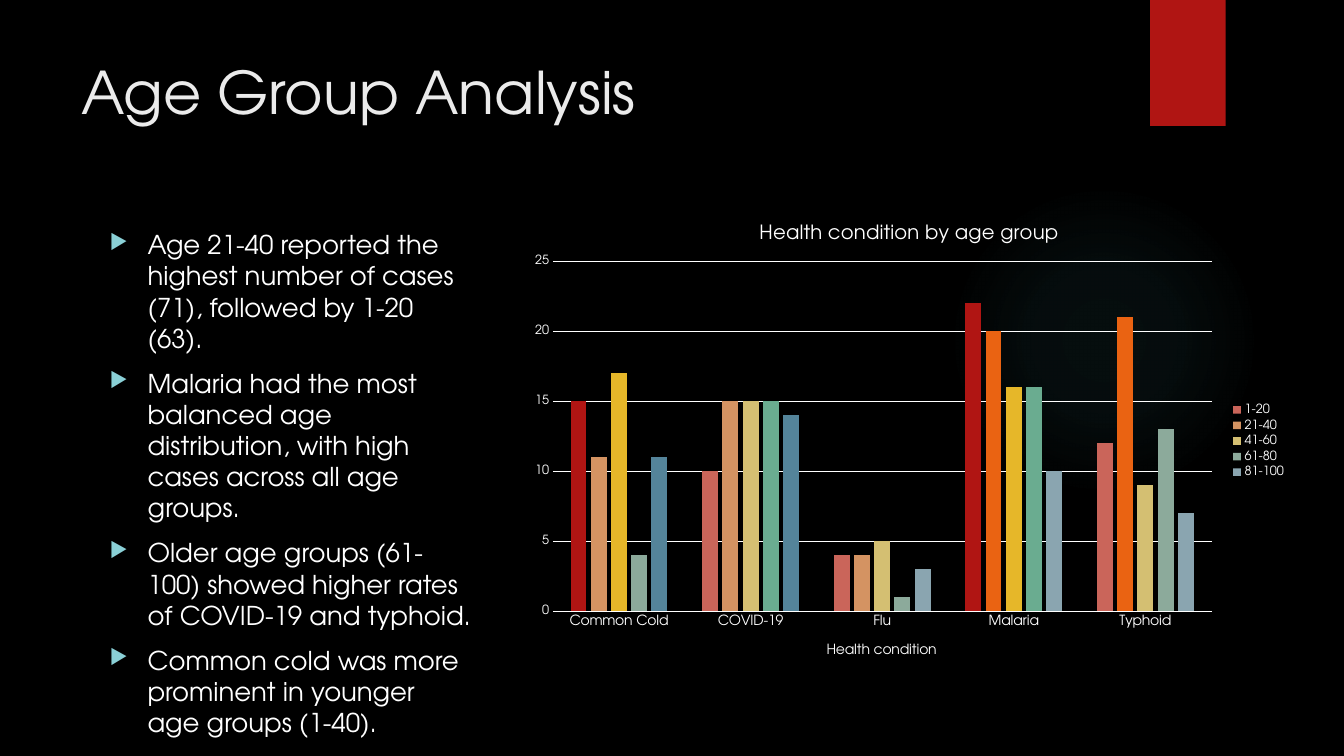
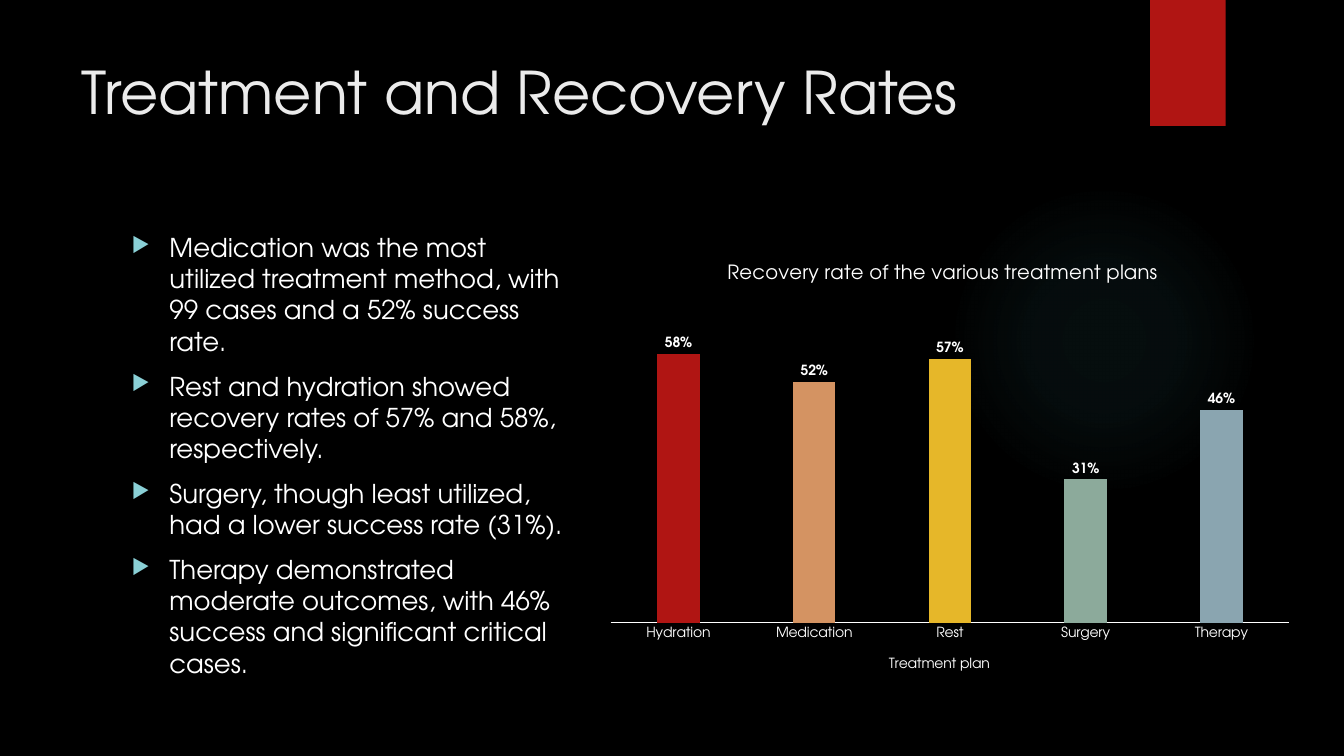
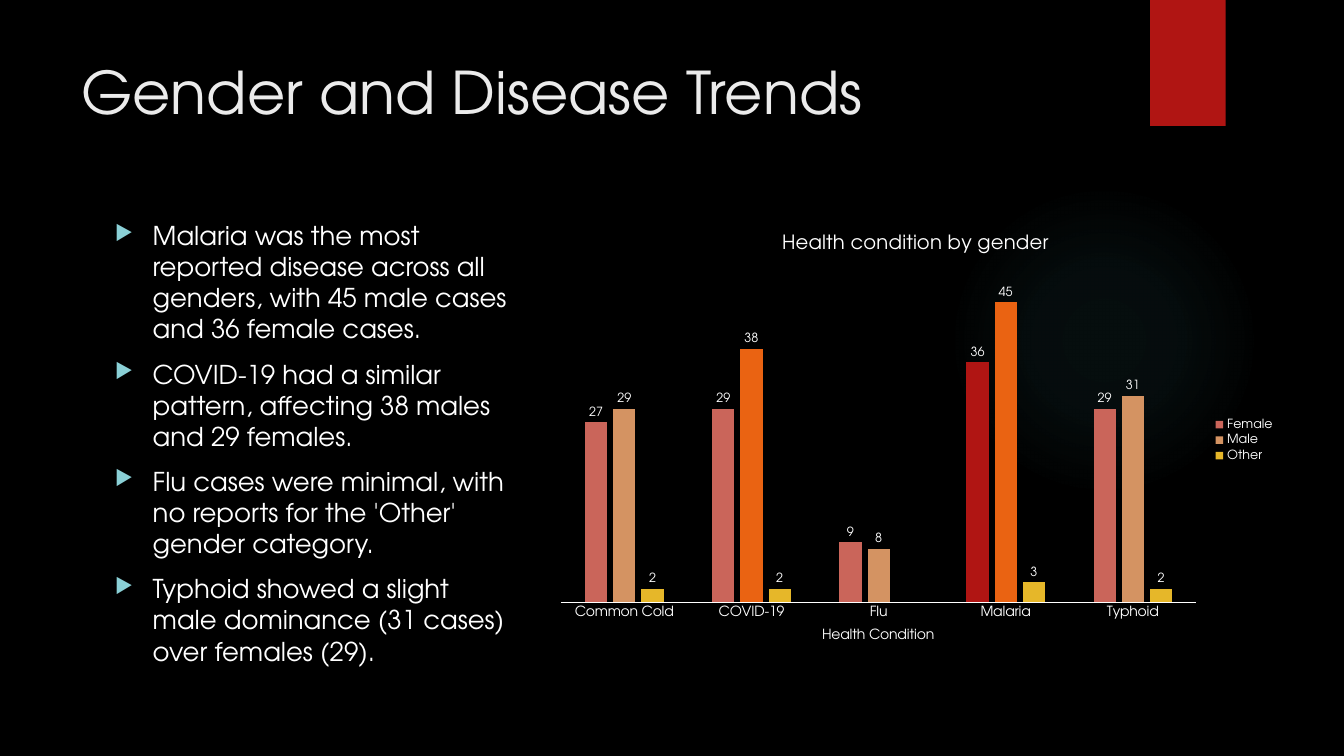
from lxml import etree
from pptx import Presentation
from pptx import util as u
from pptx.chart import data as cd
from pptx.dml import color
from pptx.enum import chart as ch, dml, shapes, text
from pptx.oxml import parse_xml
from pptx.oxml.ns import nsdecls, qn

FONT = "TeX Gyre Adventor"
WHITE, RED, ORANGE, YELLOW, GREEN, BLUE = "FFFFFF", "B01513", "EA6312", "E6B729", "6AAC90", "54849A"
PALE_RED, PALE_ORANGE, PALE_YELLOW = "CA655A", "D49362", "D4BF72"
PALE_GREEN, PALE_BLUE = "8CAA9B", "8AA5B0"
CONDITIONS = ["Common Cold", "COVID-19", "Flu", "Malaria", "Typhoid"]


def rgb(hex_string):
    return color.RGBColor.from_string(hex_string)


def paint(fill, hex_string):
    fill.solid()
    fill.fore_color.rgb = rgb(hex_string)


def style(font, size=10, hex_string=WHITE, bold=False):
    font.name, font.size, font.bold = FONT, u.Pt(size), bold
    font.color.rgb = rgb(hex_string)


def write(p, words, **fmt):
    r = p.add_run()
    r.text = words
    style(r.font, **fmt)


def place(parent, index, **sizes):
    """Give a chart part a manual layout in fractions of the chart."""
    layout = parent.find(qn("c:layout"))
    if layout is None:
        layout = etree.Element(qn("c:layout"))
        parent.insert(index, layout)
    manual = etree.SubElement(layout, qn("c:manualLayout"))
    values = {"xMode": "edge", "yMode": "edge", **sizes}
    if "w" in sizes:
        values = {"layoutTarget": "inner", **values}
    for tag, value in values.items():
        etree.SubElement(manual, qn("c:" + tag)).set("val", str(value))


class Deck:
    def __init__(self):
        self.prs = Presentation()
        self.prs.slide_width, self.prs.slide_height = u.Pt(960), u.Pt(540)
        paint(self.prs.slide_master.background.fill, "000000")
        self.s = None

    def slide(self, title):
        self.s = self.prs.slides.add_slide(self.prs.slide_layouts[5])
        self.glow()
        band = self.shape(shapes.MSO_SHAPE.RECTANGLE, 821.5, 0, 54, 90)
        paint(band.fill, RED)
        sp = self.s.shapes.title
        sp.left, sp.top, sp.width, sp.height = map(u.Pt, (51, 36, 741, 110))
        tf = sp.text_frame
        tf.vertical_anchor = text.MSO_ANCHOR.TOP
        tf.auto_size = text.MSO_AUTO_SIZE.NONE
        tf.paragraphs[0].alignment = text.PP_ALIGN.LEFT
        write(tf.paragraphs[0], title, size=42, hex_string="EBEBEB")

    def shape(self, kind, *box):
        sp = self.s.shapes.add_shape(kind, *map(u.Pt, box))
        sp.shadow.inherit = False
        sp.line.fill.background()
        return sp

    def glow(self):
        sp = self.shape(shapes.MSO_SHAPE.OVAL, 677.5, 132, 222, 222)
        sp.fill.background()
        stops = "".join(
            f'<a:gs pos="{pos}000"><a:srgbClr val="50B9C1"><a:alpha val="{alpha}000"/>'
            "</a:srgbClr></a:gs>" for pos, alpha in ((0, 7), (36, 6), (69, 0)))
        gradient = parse_xml(
            f'<a:gradFill {nsdecls("a")} rotWithShape="1"><a:gsLst>{stops}</a:gsLst>'
            '<a:path path="circle"><a:fillToRect l="50000" t="50000" r="50000" b="50000"/>'
            "</a:path></a:gradFill>")
        properties = sp._element.spPr
        properties.replace(properties.find(qn("a:noFill")), gradient)

    def bullets(self, box, lines):
        tf = self.s.shapes.add_textbox(*map(u.Pt, box)).text_frame
        tf.word_wrap = True
        for i, line in enumerate(lines):
            p = tf.add_paragraph() if i else tf.paragraphs[0]
            p.space_before = u.Pt(10)
            pPr = p._p.get_or_add_pPr()
            pPr.set("marL", str(u.Pt(27)))
            pPr.set("indent", str(-u.Pt(27)))
            bullet_color = etree.SubElement(pPr, qn("a:buClr"))
            etree.SubElement(bullet_color, qn("a:srgbClr")).set("val", "8AD0D6")
            etree.SubElement(pPr, qn("a:buSzPct")).set("val", "80000")
            etree.SubElement(pPr, qn("a:buChar")).set("char", "▶")
            write(p, line, size=18.5)

    def columns(self, box, title, axis_title, axis_at, plot_at, cats, series, top,
                fmt="General", legend=True, grid=False, labels=None):
        """series holds (name, values, colour, {point: colour}); labels is a font format."""
        data = cd.CategoryChartData(number_format=fmt)
        data.categories = cats
        for name, values, _, _ in series:
            data.add_series(name, values)
        chart = self.s.shapes.add_chart(
            ch.XL_CHART_TYPE.COLUMN_CLUSTERED, *map(u.Pt, box), data).chart
        style(chart.font)
        write(chart.chart_title.text_frame.paragraphs[0], title, size=14)
        chart.chart_title.include_in_layout = False

        # Legend
        chart.has_legend = legend
        if legend:
            chart.legend.position = ch.XL_LEGEND_POSITION.RIGHT
            chart.legend.include_in_layout = False
            style(chart.legend.font, size=9)

        # Axes
        cat, val = chart.category_axis, chart.value_axis
        cat.major_tick_mark = val.major_tick_mark = ch.XL_TICK_MARK.NONE
        style(cat.tick_labels.font)
        paint(cat.format.line.fill, WHITE)
        cat.format.line.width = u.Pt(0.75)
        write(cat.axis_title.text_frame.paragraphs[0], axis_title)
        place(cat.axis_title._element, 1, **dict(zip("xy", axis_at)))
        val.minimum_scale, val.maximum_scale = 0, top
        val.visible = val.has_major_gridlines = grid
        if grid:
            style(val.tick_labels.font, size=9)
            val.format.line.fill.background()
            line = val.major_gridlines.format.line
            paint(line.fill, WHITE)
            line.width = u.Pt(0.25)
            line.dash_style = dml.MSO_LINE.ROUND_DOT

        # Columns
        plot = chart.plots[0]
        plot.gap_width, plot.overlap, plot.vary_by_categories = 219, -27, False
        place(plot._element.getparent(), 0, **dict(zip("xywh", plot_at)))
        for column, (_, _, base, accents) in zip(plot.series, series):
            paint(column.format.fill, base)
            for i, accent in accents.items():
                paint(column.points[i].format.fill, accent)
        if labels:
            plot.has_data_labels = True
            tags = plot.data_labels
            tags.show_value = True
            tags.position = ch.XL_LABEL_POSITION.OUTSIDE_END
            tags.number_format, tags.number_format_is_linked = fmt, False
            style(tags.font, **labels)


def main():
    deck = Deck()

    # Age groups
    deck.slide("Age Group Analysis")
    deck.bullets((71.3, 160, 273, 330.5), [
        "Age 21-40 reported the highest number of cases (71), followed by 1-20 (63).",
        "Malaria had the most balanced age distribution, with high cases across all age groups.",
        "Older age groups (61-100) showed higher rates of COVID-19 and typhoid.",
        "Common cold was more prominent in younger age groups (1-40)."])
    deck.columns(
        (373, 146, 553, 338), "Health condition by age group", "Health condition",
        (0.39, 0.92), (0.04, 0.12, 0.85, 0.74), CONDITIONS, [
            ("1-20", (15, 10, 4, 22, 12), PALE_RED, {0: RED, 3: RED}),
            ("21-40", (11, 15, 4, 20, 21), PALE_ORANGE, {3: ORANGE, 4: ORANGE}),
            ("41-60", (17, 15, 5, 16, 9), PALE_YELLOW, {0: YELLOW, 3: YELLOW}),
            ("61-80", (4, 15, 1, 16, 13), PALE_GREEN, {1: GREEN, 3: GREEN}),
            ("81-100", (11, 14, 3, 10, 7), PALE_BLUE, {0: BLUE, 1: BLUE})],
        top=25, grid=True)

    # Treatments
    deck.slide("Treatment and Recovery Rates")
    deck.bullets((87, 162, 330, 330.5), [
        "Medication was the most utilized treatment method, with 99 cases and a 52% success rate.",
        "Rest and hydration showed recovery rates of 57% and 58%, respectively.",
        "Surgery, though least utilized, had a lower success rate (31%).",
        "Therapy demonstrated moderate outcomes, with 46% success and significant critical cases."])
    deck.columns(
        (421, 175, 505, 317.5), "Recovery rate of the various treatment plans", "Treatment plan",
        (0.42, 0.92), (0.03, 0.12, 0.96, 0.73),
        ["Hydration", "Medication", "Rest", "Surgery", "Therapy"],
        [("Series 1", (0.58, 0.52, 0.57, 0.31, 0.46), RED,
          {1: PALE_ORANGE, 2: YELLOW, 3: PALE_GREEN, 4: PALE_BLUE})],
        top=0.7, fmt="0%", legend=False, labels={"bold": True})

    # Genders
    deck.slide("Gender and Disease Trends")
    deck.bullets((75, 153.4, 294.5, 330.5), [
        "Malaria was the most reported disease across all genders, with 45 male cases and 36 female cases.",
        "COVID-19 had a similar pattern, affecting 38 males and 29 females.",
        "Flu cases were minimal, with no reports for the 'Other' gender category.",
        "Typhoid showed a slight male dominance (31 cases) over females (29)."])
    deck.columns(
        (390, 153.4, 528, 322), "Health condition by gender", "Health Condition",
        (0.37, 0.91), (0.02, 0.12, 0.86, 0.74), CONDITIONS, [
            ("Female", (27, 29, 9, 36, 29), PALE_RED, {3: RED}),
            ("Male", (29, 38, 8, 45, 31), PALE_ORANGE, {1: ORANGE, 3: ORANGE}),
            ("Other", (2, 2, None, 3, 2), YELLOW, {})],
        top=50, labels={"size": 9})

    deck.prs.save("out.pptx")


if __name__ == "__main__":
    main()
